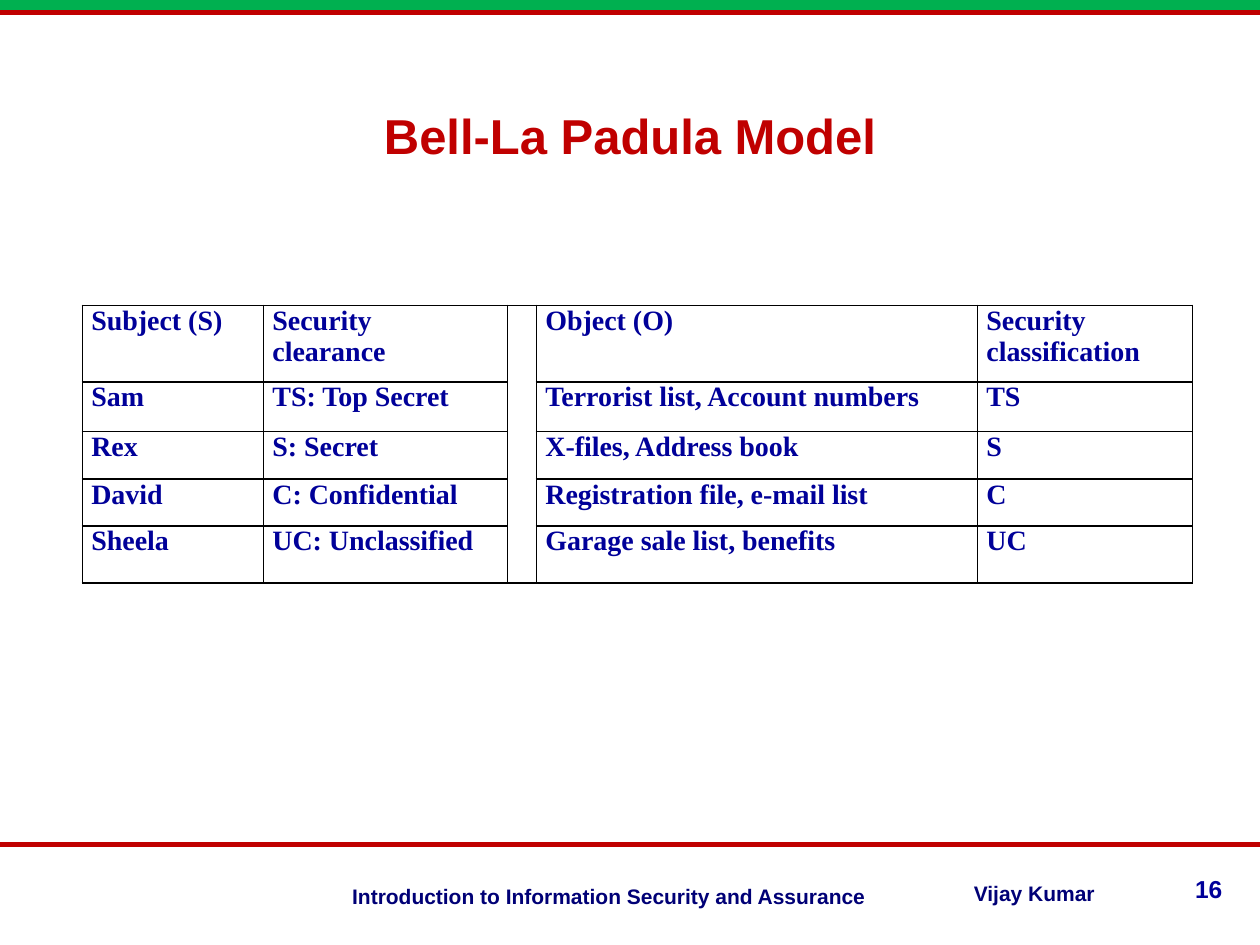
from lxml import etree
from pptx import Presentation
from pptx.dml.color import RGBColor
from pptx.enum.shapes import MSO_CONNECTOR as Connector, MSO_SHAPE as Shape
from pptx.enum.text import MSO_ANCHOR as Anchor, PP_ALIGN as Align
from pptx.oxml.ns import qn
from pptx.util import Pt

RED, GREEN, NAVY, BLUE, WHITE = "C00000", "00B050", "000076", "000099", "FFFFFF"
WIDTH = 720


def paint(fill, color):
    fill.solid()
    fill.fore_color.rgb = RGBColor.from_string(color)


def write(frame, text, size, color, font="Arial", align=Align.LEFT):
    """Fill a text frame with bold text, one paragraph per line."""
    frame.word_wrap = True
    for index, line in enumerate(text.split("\n")):
        para = frame.paragraphs[0] if index == 0 else frame.add_paragraph()
        para.alignment = align
        span = para.add_run()
        span.text = line
        span.font.name, span.font.size, span.font.bold = font, Pt(size), True
        paint(span.font.fill, color)


deck = Presentation()
deck.slide_width, deck.slide_height = Pt(WIDTH), Pt(540)
page = deck.slides.add_slide(deck.slide_layouts[5])  # Title Only
paint(page.background.fill, WHITE)

# Top band and the two red rules
band = page.shapes.add_shape(Shape.RECTANGLE, 0, 0, Pt(WIDTH), Pt(6))
band.shadow.inherit = False
paint(band.fill, GREEN)
band.line.fill.background()
for y in (7.2, 482.4):
    rule = page.shapes.add_connector(Connector.STRAIGHT, 0, Pt(y), Pt(WIDTH), Pt(y))
    paint(rule.line.fill, RED)
    rule.line.width = Pt(3)
    etree.SubElement(rule._element.spPr, qn("a:effectLst"))

# Footer
for text, left, top, width, height, size, color, align in (
    ("Introduction to Information Security and Assurance",
     182.9, 501.1, 319, 21, 12, NAVY, Align.RIGHT),
    ("Vijay Kumar", 549.4, 499.7, 90.7, 19.4, 12, NAVY, Align.JUSTIFY),
    ("16", 658.8, 496.1, 46.8, 19.4, 14, BLUE, Align.RIGHT),
):
    box = page.shapes.add_textbox(Pt(left), Pt(top), Pt(width), Pt(height))
    write(box.text_frame, text, size, color, align=align)

title = page.shapes.title
title.left, title.top, title.width, title.height = Pt(54), Pt(48.2), Pt(612), Pt(57.6)
paint(title.fill, WHITE)
title.text_frame.vertical_anchor = Anchor.MIDDLE
write(title.text_frame, "Bell-La Padula Model", 28, RED, align=Align.CENTER)

# Subjects on the left, objects on the right, a merged gap between them
rows = (
    ("Subject (S)", "Security\nclearance", "", "Object (O)", "Security\nclassification"),
    ("Sam", "TS: Top Secret", "", "Terrorist list, Account numbers", "TS"),
    ("Rex", "S: Secret", "", "X-files, Address book", "S"),
    ("David", "C: Confidential", "", "Registration file, e-mail list", "C"),
    ("Sheela", "UC: Unclassified", "", "Garage sale list, benefits", "UC"),
)
column_widths = (103.5, 139.5, 16.5, 252, 122.9)
row_heights = (43.7, 28.3, 27.3, 26.7, 32.6)
table = page.shapes.add_table(
    len(rows), len(column_widths), Pt(47), Pt(174.5),
    Pt(sum(column_widths)), Pt(sum(row_heights))).table
table.first_row = table.horz_banding = False
for column, width in zip(table.columns, column_widths):
    column.width = Pt(width)
for row, height in zip(table.rows, row_heights):
    row.height = Pt(height)
table.cell(0, 2).merge(table.cell(len(rows) - 1, 2))

for row, texts in zip(table.rows, rows):
    for cell, text in zip(row.cells, texts):
        cell.margin_left = cell.margin_right = Pt(5.2)
        cell.margin_top = cell.margin_bottom = 0
        properties = cell._tc.get_or_add_tcPr()
        for side in ("a:lnL", "a:lnR", "a:lnT", "a:lnB"):
            border = etree.SubElement(properties, qn(side), w=str(Pt(1)))
            fill = etree.SubElement(border, qn("a:solidFill"))
            etree.SubElement(fill, qn("a:srgbClr"), val="000000")
        paint(cell.fill, WHITE)
        if text:
            write(cell.text_frame, text, 16, BLUE, "Times New Roman", Align.JUSTIFY)

deck.save("out.pptx")
